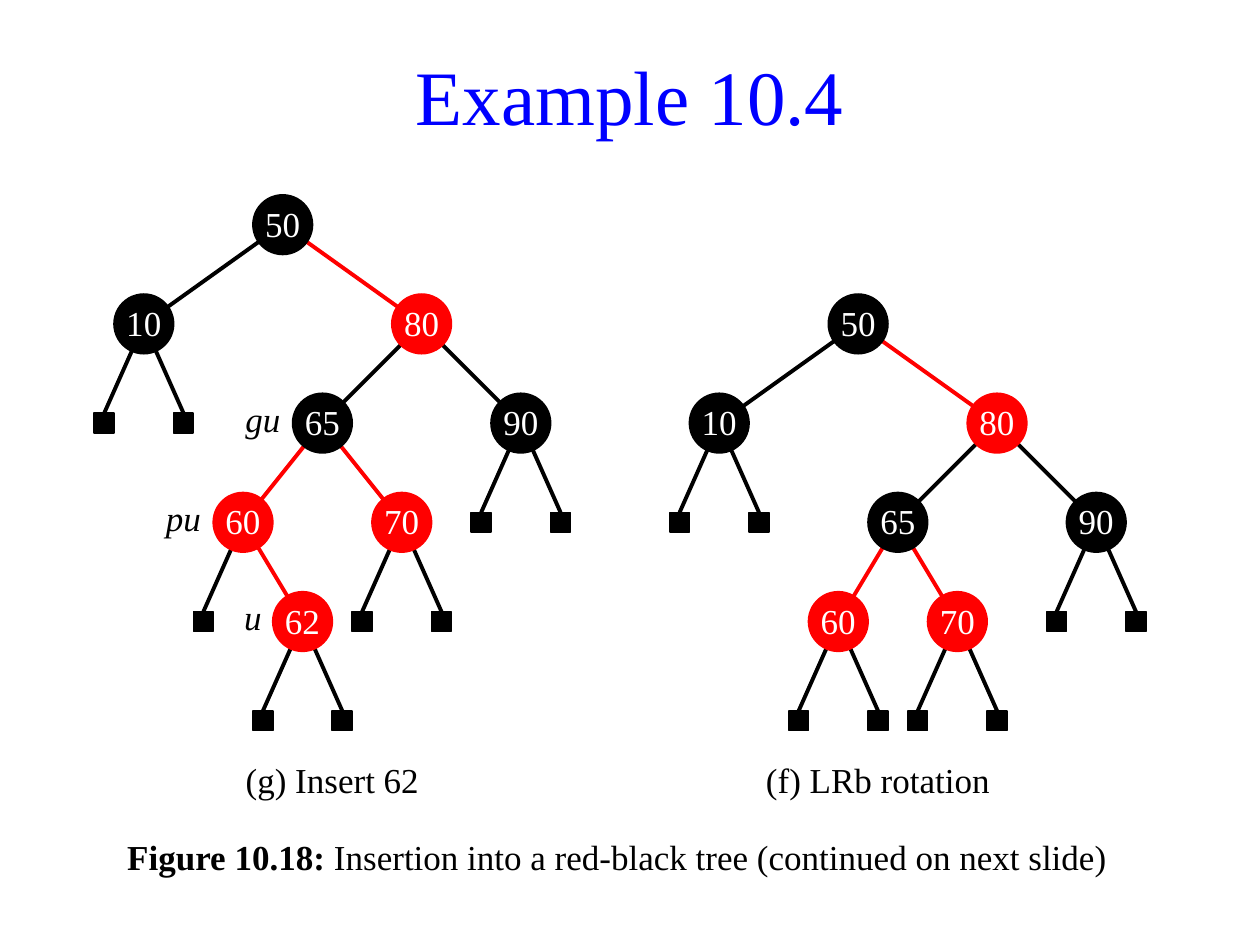
import dataclasses

import pptx
import pptx.dml.color
import pptx.enum.shapes
import pptx.enum.text
import pptx.oxml.ns
import pptx.util
from lxml import etree

Cm, Pt = pptx.util.Cm, pptx.util.Pt
SHAPE = pptx.enum.shapes.MSO_SHAPE
ANCHOR = pptx.enum.text.MSO_ANCHOR
ALIGN = pptx.enum.text.PP_ALIGN

BLACK, RED, WHITE, BLUE = "000000", "FF0000", "FFFFFF", "0000FF"

# Tree geometry in cm
LEVEL = 2.0
NODE = 1.2
LEAF = 0.4
LEAF_SHIFT = 0.8


def rgb(value):
    return pptx.dml.color.RGBColor.from_string(value)


@dataclasses.dataclass
class Node:
    """A tree node; shift is its distance to the right of its parent, None a leaf."""
    key: str
    color: str
    shift: float = 0
    left: "Node" = None
    right: "Node" = None
    label: str = ""


class TreeSlide:
    font = "Times New Roman"
    size = 20

    def __init__(self, slide):
        self.slide = slide

    def format(self, run, color=BLACK, size=None, bold=False, italic=False):
        run.font.name = self.font
        run.font.size = Pt(size or self.size)
        run.font.color.rgb = rgb(color)
        run.font.bold = bold
        run.font.italic = italic

    def place(self, shape, left, top, width, height):
        shape.left, shape.top = Cm(left), Cm(top)
        shape.width, shape.height = Cm(width), Cm(height)

    def title(self, text, *box):
        title = self.slide.shapes.title
        self.place(title, *box)
        title.text_frame.text = text
        title.text_frame.vertical_anchor = ANCHOR.MIDDLE
        paragraph = title.text_frame.paragraphs[0]
        paragraph.alignment = ALIGN.CENTER
        self.format(paragraph.runs[0], BLUE, 44)

    def figure_caption(self, number, text, *box):
        caption = self.slide.placeholders[1]
        self.place(caption, *box)
        paragraph = caption.text_frame.paragraphs[0]
        paragraph.space_before = Pt(4)
        for part, bold in ((number, True), (text, False)):
            run = paragraph.add_run()
            run.text = part
            self.format(run, bold=bold)
        # No bullet and no hanging indent
        properties = paragraph._p.get_or_add_pPr()
        properties.set("marL", "0")
        properties.set("indent", "0")
        etree.SubElement(properties, pptx.oxml.ns.qn("a:buNone"))

    def text(self, text, *box, italic=False):
        frame = self.slide.shapes.add_textbox(*map(Cm, box)).text_frame
        frame.word_wrap = False
        frame.vertical_anchor = ANCHOR.MIDDLE
        frame.text = text
        frame.paragraphs[0].alignment = ALIGN.CENTER
        self.format(frame.paragraphs[0].runs[0], italic=italic)
        return frame

    def node_label(self, text, right, top):
        width = 0.4 + 0.4 * len(text)
        frame = self.text(text, right - width, top, width, NODE, italic=True)
        frame.margin_top = 0
        frame.margin_left = frame.margin_right = frame.margin_bottom = Cm(0.2)

    def solid(self, preset, x, y, size, color):
        """Draw a filled shape centred at x, y."""
        shape = self.slide.shapes.add_shape(
            preset, Cm(x - size / 2), Cm(y - size / 2), Cm(size), Cm(size))
        shape.shadow.inherit = False
        shape.fill.solid()
        shape.fill.fore_color.rgb = rgb(color)
        shape.line.color.rgb = rgb(color)
        shape.line.width = Pt(1)
        return shape

    def circle(self, node, x, y):
        frame = self.solid(SHAPE.OVAL, x, y, NODE, node.color).text_frame
        frame.margin_left = frame.margin_top = frame.margin_right = 0
        frame.margin_bottom = Cm(0.03)
        frame.word_wrap = False
        frame.vertical_anchor = ANCHOR.BOTTOM
        frame.text = node.key
        frame.paragraphs[0].alignment = ALIGN.CENTER
        self.format(frame.paragraphs[0].runs[0], WHITE)

    def edge(self, x1, y1, x2, y2, color):
        line = self.slide.shapes.add_connector(
            pptx.enum.shapes.MSO_CONNECTOR.STRAIGHT, Cm(x1), Cm(y1), Cm(x2), Cm(y2))
        line.line.color.rgb = rgb(color)
        line.line.width = Pt(2.25)
        etree.SubElement(line._element.spPr, pptx.oxml.ns.qn("a:effectLst"))
        return line

    def tree(self, node, x, y):
        """Draw the edges and subtrees first, so that the circle covers the line ends."""
        below = y + LEVEL
        for child, side in ((node.left, -1), (node.right, 1)):
            if child is None:
                leaf_x = x + side * LEAF_SHIFT
                leaf = self.solid(SHAPE.RECTANGLE, leaf_x, below, LEAF, BLACK)
                branch = self.edge(x, y, leaf_x, below - LEAF / 2, BLACK)
                branch.end_connect(leaf, 0)
            else:
                # A pointer has the colour of the child it leads to
                self.edge(x, y, x + child.shift, below, child.color)
                self.tree(child, x + child.shift, below)
        self.circle(node, x, y)
        if node.label:
            self.node_label(node.label, x - NODE / 2, y - NODE / 2)


def search_tree(node_65):
    """Both trees differ only in the subtree at 65."""
    return Node("50", BLACK,
                left=Node("10", BLACK, -2.8),
                right=Node("80", RED, 2.8, left=node_65,
                           right=Node("90", BLACK, 2)))


def main():
    presentation = pptx.Presentation()
    presentation.slide_width, presentation.slide_height = Cm(25.4), Cm(19.05)
    page = TreeSlide(presentation.slides.add_slide(presentation.slide_layouts[1]))

    page.title("Example 10.4", 1.09, 0.71, 23.22, 2.39)

    # Left tree: after the insertion
    inserted = Node("65", BLACK, -2, label="gu",
                    left=Node("60", RED, -1.6, label="pu",
                              right=Node("62", RED, 1.2, label="u")),
                    right=Node("70", RED, 1.6))
    page.tree(search_tree(inserted), 5.7, 4.53)
    page.text("(g) Insert 62", 4.7, 15.12, 4, 1.2)

    # Right tree: after the rotation
    rotated = Node("65", BLACK, -2,
                   left=Node("60", RED, -1.2), right=Node("70", RED, 1.2))
    page.tree(search_tree(rotated), 17.3, 6.53)
    page.text("(f) LRb rotation", 14.7, 15.12, 6, 1.2)

    page.figure_caption("Figure 10.18: ",
                        "Insertion into a red-black tree (continued on next slide)",
                        2.31, 16.72, 20.4, 1.2)
    presentation.save("out.pptx")


if __name__ == "__main__":
    main()
